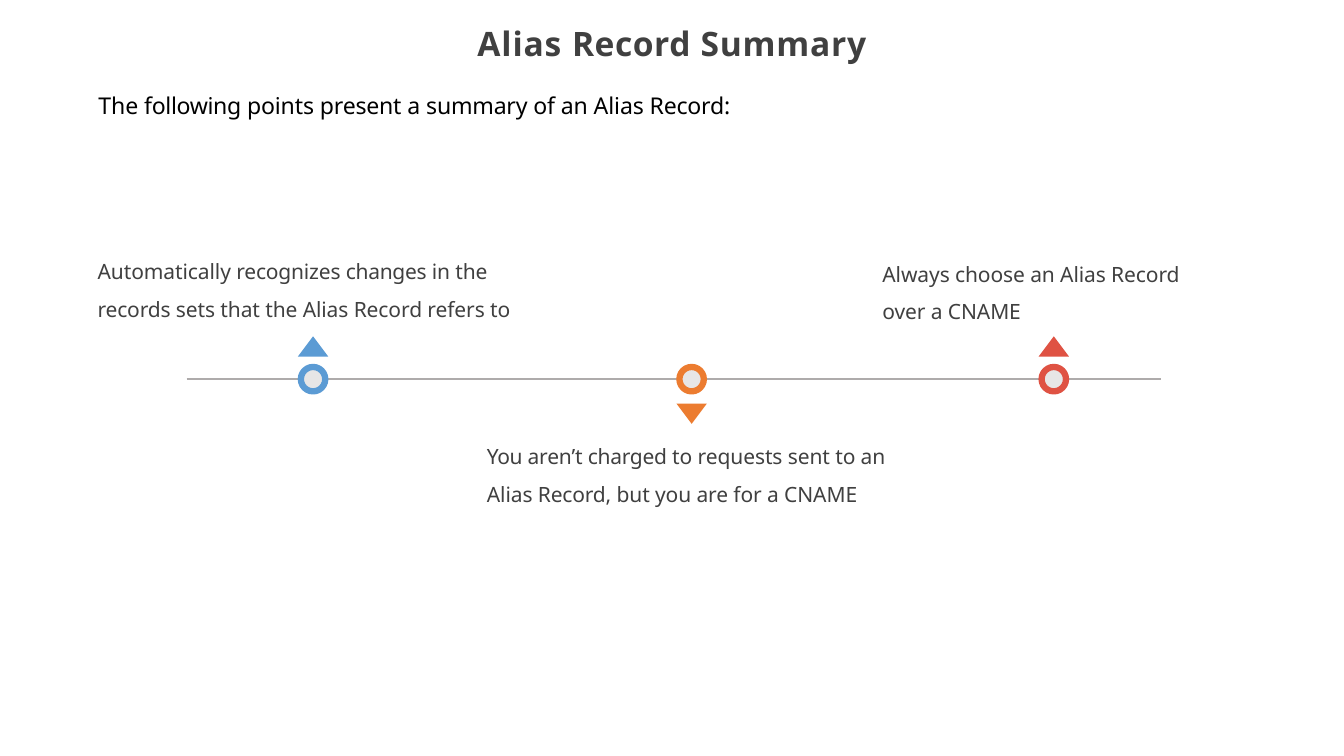
from lxml import etree
from pptx import Presentation
from pptx.dml.color import RGBColor
from pptx.enum import shapes, text
from pptx.oxml.ns import qn
from pptx.util import Cm, Pt

FONT = "Noto Sans"
GREY = "404040"
INDENT = 0.03

INTRO = [[("The ", -0.1), ("following ", -0.3), ("points ", -0.1), ("present ", -0.2),
          ("a ", -0.1), ("summary ", -0.2), ("of an Alias ", -0.1), ("Record:", -0.2)]]
RECOGNIZES = [[("Automatically ", -0.1), ("recognizes ", -0.2), ("changes ", -0.3),
               ("in the ", -0.1), ("records ", -0.2),
               ("sets that the Alias Record refers to", -0.1)]]
CHARGES = [[("You ", -0.4), ("aren’t ", -0.2), ("charged ", -0.3),
            ("to requests sent to an", -0.1)],
           [("Alias ", -0.1), ("Record, ", -0.2), ("but you ", -0.1), ("are ", -0.2),
            ("for a CNAME", -0.1)]]
PREFERENCE = [[("Always choose an Alias Record", -0.1)], [("over a CNAME", -0.1)]]


def rgb(value):
    return RGBColor.from_string(value)


def fill_text(frame, paragraphs, size, color, before, line_spacing=None, top=0.03, bold=False):
    """Write paragraphs of (words, letter spacing) runs; before has one gap per paragraph."""
    frame.word_wrap = True
    frame.auto_size = text.MSO_AUTO_SIZE.SHAPE_TO_FIT_TEXT
    frame.vertical_anchor = text.MSO_ANCHOR.TOP
    frame.margin_left, frame.margin_top = Cm(INDENT), Cm(top)
    frame.margin_right = frame.margin_bottom = 0
    for index, (runs, gap) in enumerate(zip(paragraphs, before)):
        paragraph = frame.paragraphs[0] if index == 0 else frame.add_paragraph()
        paragraph.space_before = Pt(gap)
        if line_spacing:
            paragraph.line_spacing = line_spacing
        for words, spacing in runs:
            run = paragraph.add_run()
            run.text = words
            run.font.name, run.font.size, run.font.bold = FONT, Pt(size), bold
            run.font.color.rgb = rgb(color)
            run.font._element.set("spc", str(round(spacing * 100)))


def add_heading(slide, left, top, width, height):
    title = slide.shapes.title
    title.left, title.top, title.width, title.height = map(Cm, (left, top, width, height))
    runs = [("Alias ", 0.8), ("Record ", 0.5), ("Summary", 0.7)]
    fill_text(title.text_frame, [runs], 32, GREY, [1], bold=True)


def add_note(slide, box, paragraphs, size=20, color=GREY, before=(13.1, 12), **layout):
    note = slide.shapes.add_textbox(*map(Cm, box))
    fill_text(note.text_frame, paragraphs, size, color, before, **layout)


def add_mark(slide, kind, center_x, center_y, width, height, fill):
    mark = slide.shapes.add_shape(kind, Cm(center_x - width / 2), Cm(center_y - height / 2),
                                  Cm(width), Cm(height))
    mark.shadow.inherit = False
    mark.fill.solid()
    mark.fill.fore_color.rgb = rgb(fill)
    mark.line.fill.background()
    return mark


def add_milestone(slide, x, y, color, points_up):
    """Ring on the axis with an arrowhead towards its note."""
    ring = add_mark(slide, shapes.MSO_SHAPE.OVAL, x, y, 0.82, 0.82, "E7E6E6")
    ring.line.color.rgb = rgb(color)
    ring.line.width = Pt(6)
    pointer_y = y - 1.1 if points_up else y + 1.16
    pointer = add_mark(slide, shapes.MSO_SHAPE.ISOSCELES_TRIANGLE, x, pointer_y, 1.02, 0.68, color)
    pointer.rotation = 0 if points_up else 180


def add_timeline(slide, left, top, width, height):
    """Axis through the middle of the box, with notes above and below it."""
    middle = top + height / 2
    axis = slide.shapes.add_connector(shapes.MSO_CONNECTOR.STRAIGHT, Cm(left + 3.02), Cm(middle),
                                      Cm(left + width), Cm(middle))
    axis.line.color.rgb = rgb("AEABAB")
    axis.line.width = Pt(1.56)
    etree.SubElement(axis._element.spPr, qn("a:effectLst"))

    for x, color, points_up in ((7.27, "5B9BD4", True), (19.99, "EC7C30", False),
                                (32.16, "DF5243", True)):
        add_milestone(slide, left + x, middle, color, points_up)

    add_note(slide, (left, middle - 4.51, 13.97, 2.62), RECOGNIZES, before=[1], line_spacing=1.5)
    add_note(slide, (left + 13.08, middle + 1.71, 13.54, 2.62), CHARGES, top=0.46)
    add_note(slide, (left + 26.37, middle - 4.43, 10.08, 2.62), PREFERENCE, top=0.46)


def main():
    deck = Presentation()
    deck.slide_width, deck.slide_height = Cm(45.16), Cm(25.4)
    slide = deck.slides.add_slide(deck.slide_layouts[5])
    add_heading(slide, 16, 0.74, 13.13, 1.42)
    add_note(slide, (3.28, 3.05, 21.46, 0.99), INTRO, size=22, color="000000", before=[0.9])
    add_timeline(slide, 3.25, 8.24, 35.76, 9)
    deck.save("out.pptx")


if __name__ == "__main__":
    main()
